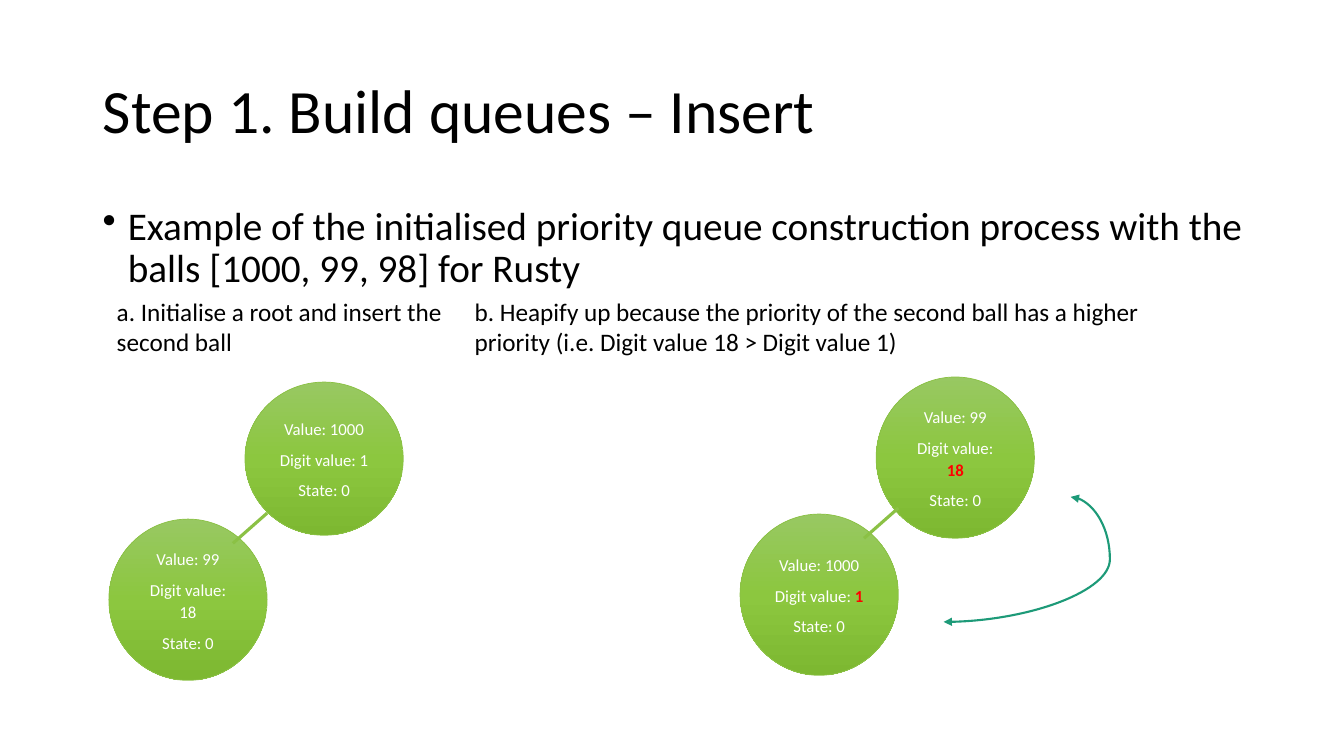
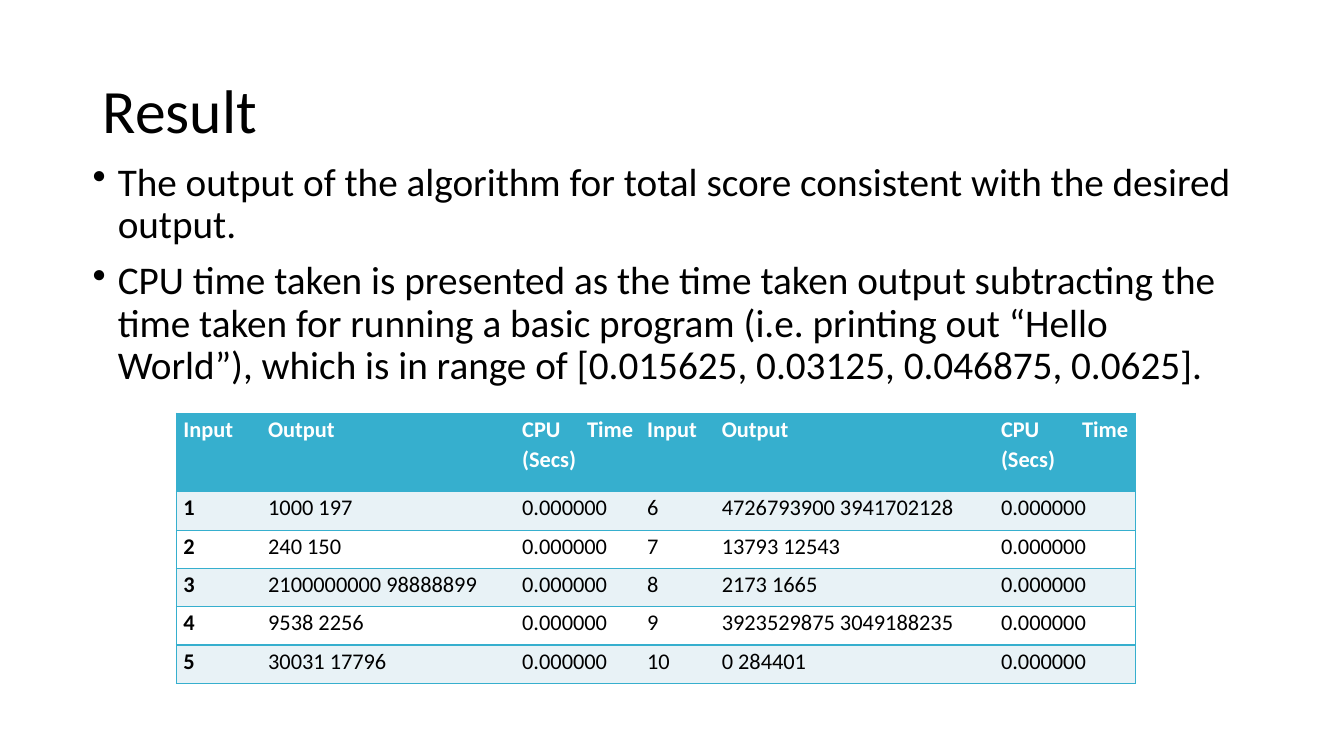
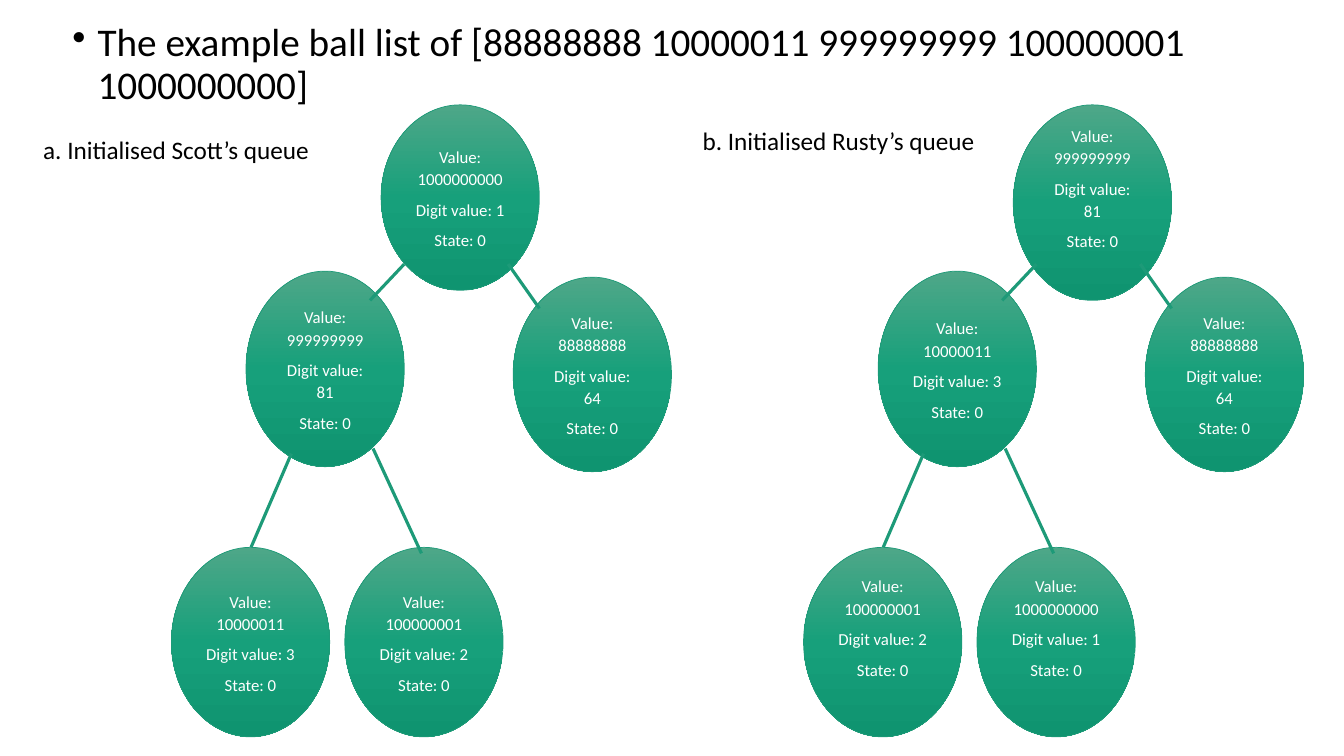
from copy import deepcopy
from dataclasses import dataclass
from lxml.etree import SubElement
from pptx import Presentation
from pptx.dml.color import RGBColor as RGB
from pptx.enum.shapes import MSO_CONNECTOR as CONN, MSO_SHAPE as SHAPE
from pptx.enum.text import MSO_ANCHOR as ANCHOR, MSO_AUTO_SIZE as FIT, PP_ALIGN as ALIGN
from pptx.oxml.ns import qn
from pptx.util import Inches, Pt


@dataclass(frozen=True)
class Palette:
    line: str
    stops: tuple


@dataclass(frozen=True)
class Theme:
    font: str = "Calibri"
    title: int = 44
    body: int = 28
    caption: int = 18
    cell: int = 16
    node: int = 12
    ink: str = "000000"
    paper: str = "FFFFFF"
    alert: str = "FF0000"
    head: str = "36AFCE"
    band: str = "E8F2F6"
    green: Palette = Palette("8BC145", ("98C862", "8CC73F", "7DB831"))
    teal: Palette = Palette("1D9A78", ("4EA788", "17A07B", "0F9470"))


T = Theme()
TITLE_ONLY, BLANK = 5, 6
NODE_W = 1.57
BLANK_LINE = 0.3

PAIR_SLOTS = [(1.35, 0), (0, 1.36)]
PAIR_EDGES = [(1.57, 1.3, 1.23, 1.6)]
TREE_SLOTS = [(2.08, 0), (0.74, 1.65), (3.39, 1.71), (0, 4.39), (1.72, 4.39)]
TREE_EDGES = [(2.31, 1.58, 1.97, 1.94), (3.34, 1.58, 3.65, 2.02),
              (1.19, 3.46, 0.79, 4.39), (2, 3.41, 2.48, 4.45)]


def inches(*lengths):
    return [Inches(n) for n in lengths]


def style(p, size, color=T.ink, bold=False, align=None, spacing=None):
    f = p.font
    f.name, f.size, f.bold = T.font, Pt(size), bold
    f.color.rgb = RGB.from_string(color)
    p.alignment, p.line_spacing = align, spacing


def add_title(slide, text, box=(0.92, 0.4, 11.5, 1.45)):
    sp = slide.shapes.title
    sp.left, sp.top, sp.width, sp.height = inches(*box)
    tf = sp.text_frame
    tf.text = text
    tf.auto_size, tf.vertical_anchor = FIT.NONE, ANCHOR.MIDDLE
    style(tf.paragraphs[0], T.title, align=ALIGN.LEFT, spacing=0.9)


def add_text(slide, box, lines):
    tf = slide.shapes.add_textbox(*inches(*box)).text_frame
    tf.word_wrap = True
    tf.text = "\n".join(lines)
    return tf


def add_bullets(slide, box, lines):
    for p in add_text(slide, box, lines).paragraphs:
        style(p, T.body, spacing=0.9)
        p.space_before = Pt(10)
        pPr = p._p.get_or_add_pPr()
        pPr.set("marL", str(Inches(0.25)))
        pPr.set("indent", str(Inches(-0.25)))
        bullet = pPr.makeelement(qn("a:buChar"), {"char": "•"})
        pPr.insert_element_before(bullet, "a:tabLst", "a:defRPr", "a:extLst")


def add_caption(slide, box, text):
    style(add_text(slide, box, [text]).paragraphs[0], T.caption)


def add_line(shapes, ends, color, width, kind=CONN.STRAIGHT):
    cx = shapes.add_connector(kind, *inches(*ends))
    cx.line.color.rgb = RGB.from_string(color)
    cx.line.width = Pt(width)
    SubElement(cx._element.spPr, qn("a:effectLst"))
    return cx


def add_swap_arrow(slide, ends, bend):
    cx = add_line(slide.shapes, ends, T.teal.line, 1.5, CONN.CURVE)
    ln = cx.line._get_or_add_ln()
    for end in ("a:headEnd", "a:tailEnd"):
        SubElement(ln, qn(end), type="triangle")
    geom = cx._element.spPr.find(qn("a:prstGeom"))
    guides = geom.find(qn("a:avLst"))
    if guides is None:
        guides = SubElement(geom, qn("a:avLst"))
    SubElement(guides, qn("a:gd"), name="adj1", fmla=f"val {bend}")


def add_node(shapes, box, palette, value, digit, hot=False, raised=False):
    sp = shapes.add_shape(SHAPE.FLOWCHART_CONNECTOR, *inches(*box))
    sp.shadow.inherit = False
    sp.fill.gradient()
    sp.fill.gradient_angle = 270
    stops = sp._element.spPr.find(".//" + qn("a:gsLst"))
    stops.insert(1, deepcopy(stops[0]))
    for i, stop in enumerate(sp.fill.gradient_stops):
        stop.position = i / 2
        stop.color.rgb = RGB.from_string(palette.stops[i])
    sp.line.color.rgb = RGB.from_string(palette.line)
    sp.line.width = Pt(0.5)
    tf = sp.text_frame
    tf.word_wrap, tf.vertical_anchor = True, ANCHOR.MIDDLE
    if raised:
        tf.margin_bottom = Inches(0.05 + BLANK_LINE)
    tf.text = f"Value: {value}\nDigit value: \nState: 0"
    r = tf.paragraphs[1].add_run()
    r.text = str(digit)
    if hot:
        r.font.bold = True
        r.font.color.rgb = RGB.from_string(T.alert)
    for p in tf.paragraphs:
        style(p, T.node, T.paper, align=ALIGN.CENTER, spacing=1.1)
        p.space_after = Pt(6)


def add_heap(slide, origin, palette, slots, heights, edges, nodes):
    x, y = origin
    shapes = slide.shapes.add_group_shape().shapes
    for (dx, dy), h, node in zip(slots, heights, nodes):
        add_node(shapes, (x + dx, y + dy, NODE_W, h), palette, *node)
    for x1, y1, x2, y2 in edges:
        add_line(shapes, (x + x1, y + y1, x + x2, y + y2), palette.line, 2.25)


def set_borders(cell, sides):
    tcPr = cell._tc.get_or_add_tcPr()
    for i, side in enumerate(sides):
        ln = tcPr.makeelement(qn(f"a:ln{side}"), {"w": str(Pt(1))})
        fill = SubElement(ln, qn("a:solidFill"))
        SubElement(fill, qn("a:srgbClr"), val=T.head)
        tcPr.insert(i, ln)


def add_results(slide, box, widths, heights, rows):
    table = slide.shapes.add_table(len(rows), len(widths), *inches(*box)).table
    table.first_row = table.horz_banding = False
    table._tbl.tblPr.find(qn("a:tableStyleId")).text = "{2D5ABB26-0587-4C30-8999-92F81FD0307C}"
    for col, w in zip(table.columns, widths):
        col.width = Inches(w)
    for row, h in zip(table.rows, heights):
        row.height = Inches(h)
    last = len(widths) - 1
    for i, row in enumerate(rows):
        fill = T.head if i == 0 else T.band if i % 2 else T.paper
        for j, text in enumerate(row):
            cell = table.cell(i, j)
            cell.text = text
            cell.margin_left = cell.margin_right = Inches(0.07)
            cell.margin_top = cell.margin_bottom = 0
            cell.fill.solid()
            cell.fill.fore_color.rgb = RGB.from_string(fill)
            style(cell.text_frame.paragraphs[0], T.cell, T.ink if i else T.paper,
                  i == 0 or j == 0, ALIGN.JUSTIFY, 1.1)
            set_borders(cell, {0: "LTB", last: "RTB"}.get(j, "TB"))


def build_insert(prs):
    s = prs.slides.add_slide(prs.slide_layouts[TITLE_ONLY])
    add_title(s, "Step 1. Build queues – Insert")
    add_bullets(s, (0.92, 2, 11.5, 4.76), [
        "Example of the initialised priority queue construction process with "
        "the balls [1000, 99, 98] for Rusty"])
    add_heap(s, (1.08, 3.79), T.green, PAIR_SLOTS, (1.52, 1.6), PAIR_EDGES,
             [(1000, 1), (99, 18)])
    add_caption(s, (1.06, 2.89, 3.47, 0.71),
                "a. Initialise a root and insert the second ball")
    add_caption(s, (4.61, 2.89, 7.04, 0.71),
                "b. Heapify up because the priority of the second ball has a higher "
                "priority (i.e. Digit value 18 > Digit value 1)")
    add_heap(s, (7.34, 3.74), T.green, PAIR_SLOTS, (1.6, 1.6), PAIR_EDGES,
             [(99, 18, True), (1000, 1, True)])
    add_swap_arrow(s, (10.62, 4.93, 9.36, 6.17), -30900)


def build_result(prs):
    s = prs.slides.add_slide(prs.slide_layouts[TITLE_ONLY])
    add_title(s, "Result")
    add_bullets(s, (0.82, 1.56, 11.5, 2.45), [
        "The output of the algorithm for total score consistent with the desired output.",
        "CPU time taken is presented as the time taken output subtracting the time taken "
        "for running a basic program (i.e. printing out “Hello World”), which is in range "
        "of [0.015625, 0.03125, 0.046875, 0.0625]."])
    outputs = ["1000 197", "240 150", "2100000000 98888899", "9538 2256", "30031 17796",
               "4726793900 3941702128", "13793 12543", "2173 1665",
               "3923529875 3049188235", "0 284401"]
    runs = [(str(i), out, "0.000000") for i, out in enumerate(outputs, 1)]
    header = ("Input", "Output", "CPU Time (Secs)") * 2
    rows = [header] + [a + b for a, b in zip(runs[:5], runs[5:])]
    add_results(s, (1.75, 4.1, 9.51, 2.68), (0.84, 2.52, 1.24, 0.74, 2.77, 1.4),
                [0.78] + [0.38] * 5, rows)


def build_queues(prs):
    s = prs.slides.add_slide(prs.slide_layouts[BLANK])
    lower = (1.94, 1.93, 1.88, 1.88)
    add_heap(s, (1.7, 1.04), T.teal, TREE_SLOTS, (1.84, *lower), TREE_EDGES,
             [(1000000000, 1), (999999999, 81), (88888888, 64),
              (10000011, 3), (100000001, 2)])
    add_caption(s, (0.33, 1.28, 4.47, 0.4), "a. Initialised Scott’s queue")
    add_bullets(s, (0.62, 0.18, 11.5, 0.99), [
        "The example ball list of [88888888 10000011 999999999 100000001 1000000000]"])
    add_heap(s, (7.97, 1.04), T.teal, TREE_SLOTS, (1.94, *lower), TREE_EDGES,
             [(999999999, 81, False, True), (10000011, 3), (88888888, 64),
              (100000001, 2, False, True), (1000000000, 1, False, True)])
    add_caption(s, (6.87, 1.19, 4.47, 0.4), "b. Initialised Rusty’s queue")


prs = Presentation()
prs.slide_width, prs.slide_height = inches(13.33, 7.5)
for build in (build_insert, build_result, build_queues):
    build(prs)
prs.save("out.pptx")
